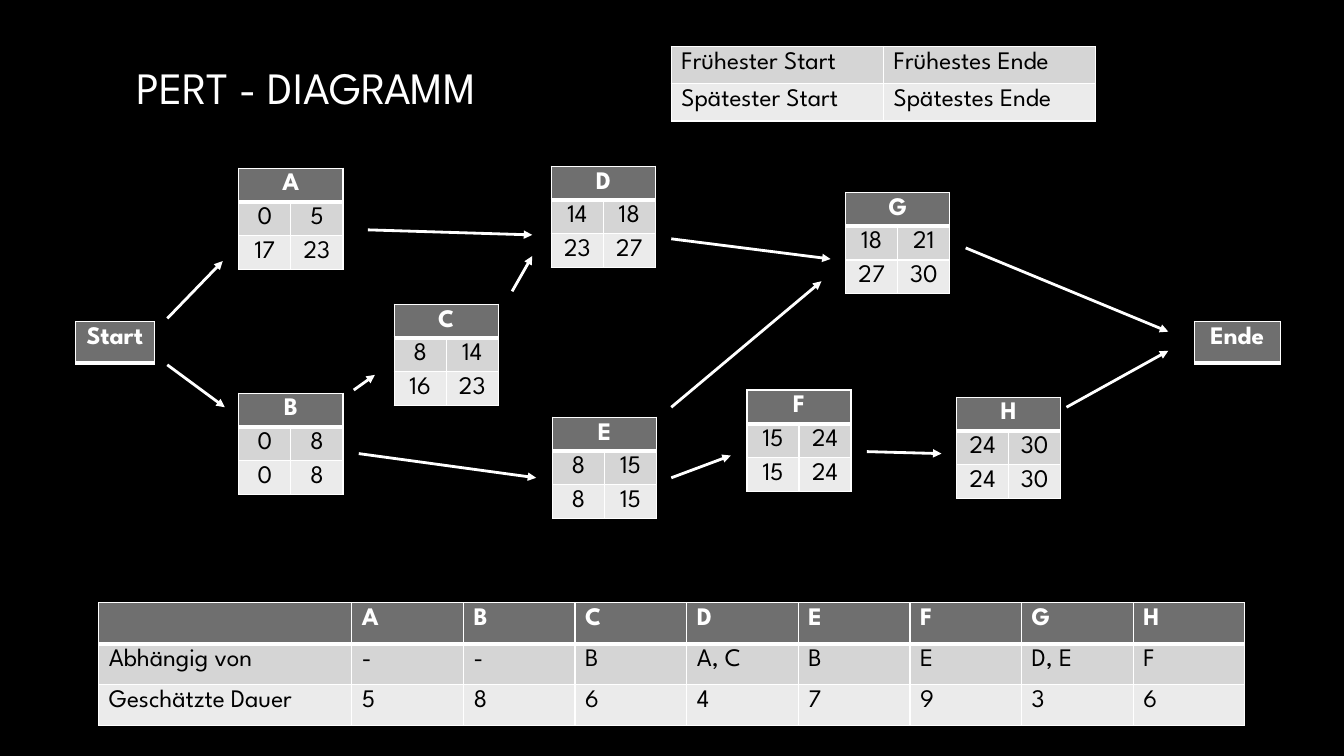
import pptx
import pptx.dml.color
import pptx.enum.text
import pptx.oxml
import pptx.oxml.ns
import pptx.util
from lxml import etree

Pt = pptx.util.Pt
ALIGN = pptx.enum.text.PP_ALIGN

FONT = "League Spartan"
WHITE, BLACK = "FFFFFF", "000000"
HEADER_FILL, DARK_BAND, LIGHT_BAND = "6F6F6F", "D5D5D5", "EBEBEB"

TITLE = "PERT - DIAGRAMM"
LEGEND = [("Frühester Start", "Frühestes Ende"),
          ("Spätester Start", "Spätestes Ende")]
TASKS = [("", "A", "B", "C", "D", "E", "F", "G", "H"),
         ("Abhängig von", "-", "-", "B", "A, C", "B", "E", "D, E", "F"),
         ("Geschätzte Dauer", "5", "8", "6", "4", "7", "9", "3", "6")]

# name: (left, top, earliest times, latest times)
NODES = {
    "A": (170.6, 120.2, ("0", "5"), ("17", "23")),
    "B": (170.6, 280.8, ("0", "8"), ("0", "8")),
    "C": (281.5, 217.4, ("8", "14"), ("16", "23")),
    "D": (393.8, 118.8, ("14", "18"), ("23", "27")),
    "E": (394.6, 298.1, ("8", "15"), ("8", "15")),
    "F": (533.5, 278.6, ("15", "24"), ("15", "24")),
    "G": (604.1, 137.5, ("18", "21"), ("27", "30")),
    "H": (683.3, 283.7, ("24", "30"), ("24", "30")),
}
# name: (left, width)
TERMINALS = {"Start": (54, 56.2), "Ende": (853.2, 61.2)}

# start x, start y, end x, end y
ARROWS = [
    (119.5, 260.6, 160.6, 290.9),  # Start - B
    (119.5, 227.5, 159.1, 186.5),  # Start - A
    (262.8, 164.2, 380.2, 167.8),  # A - D
    (252.7, 278.6, 267.8, 267.8),  # B - C
    (365.8, 208.1, 380.2, 182.9),  # C - D
    (256.3, 324, 383, 341.3),      # B - E
    (479.5, 341.3, 522, 325.4),    # E - F
    (479.5, 170.6, 593.3, 185),    # D - G
    (479.5, 290.9, 586.8, 200.9),  # E - G
    (619.2, 322.6, 672.5, 324),    # F - H
    (761.8, 290.9, 834.5, 250.6),  # H - Ende
    (689.8, 177.1, 834.5, 236.9),  # G - Ende
]


def color(value):
    return pptx.dml.color.RGBColor.from_string(value)


def write(frame, text, size=18, ink=BLACK, bold=False, align=ALIGN.LEFT):
    para = frame.paragraphs[0]
    para.alignment = align
    span = para.add_run()
    span.text = text
    span.font.name = FONT
    span.font.size = Pt(size)
    span.font.bold = bold
    span.font.color.rgb = color(ink)
    return span


def add_borders(cell, top, bottom):
    """Draw white cell borders; top and bottom are widths in points."""
    properties = cell._tc.get_or_add_tcPr()
    for side, width in (("L", 1), ("R", 1), ("T", top), ("B", bottom)):
        properties.append(pptx.oxml.parse_xml(
            f'<a:ln{side} {pptx.oxml.ns.nsdecls("a")} w="{Pt(width)}">'
            f'<a:solidFill><a:srgbClr val="{WHITE}"/></a:solidFill></a:ln{side}>'))


def add_grid(page, rows, left, top, widths, row_height, header=True,
             align=ALIGN.LEFT):
    """Add a table; a header row of one text spans all columns."""
    table = page.shapes.add_table(
        len(rows), len(widths), Pt(left), Pt(top),
        Pt(sum(widths)), Pt(row_height * len(rows))).table
    table.first_row = header
    for column, width in zip(table.columns, widths):
        column.width = Pt(width)
    fills = [HEADER_FILL] * header + [DARK_BAND, LIGHT_BAND]
    for r, texts in enumerate(rows):
        table.rows[r].height = Pt(row_height)
        is_header = header and r == 0
        for c in range(len(widths)):
            cell = table.cell(r, c)
            add_borders(cell, top=3 if header and r == 1 else 1,
                        bottom=3 if is_header else 1)
            cell.fill.solid()
            cell.fill.fore_color.rgb = color(fills[r])
            if c < len(texts) and texts[c]:
                write(cell.text_frame, texts[c], bold=is_header, align=align,
                      ink=WHITE if is_header else BLACK)
        if len(texts) < len(widths):
            table.cell(r, 0).merge(table.cell(r, len(widths) - 1))


def add_arrow(page, x1, y1, x2, y2):
    arrow = page.shapes.add_connector(
        pptx.enum.shapes.MSO_CONNECTOR.STRAIGHT, Pt(x1), Pt(y1), Pt(x2), Pt(y2))
    arrow.line.color.rgb = color(WHITE)
    arrow.line.width = Pt(2)
    qn = pptx.oxml.ns.qn
    etree.SubElement(arrow.line._get_or_add_ln(), qn("a:tailEnd"), type="triangle")
    etree.SubElement(arrow._element.spPr, qn("a:effectLst"))


def add_title(page):
    title = page.shapes.title
    title.left, title.top, title.width, title.height = map(
        Pt, (90, 26.6, 779.8, 70.6))
    title.text_frame.vertical_anchor = pptx.enum.text.MSO_ANCHOR.MIDDLE
    fill = write(title.text_frame, TITLE, size=32).font.fill
    fill.gradient()
    fill.gradient_angle = 267
    for stop, value in zip(fill.gradient_stops, (WHITE, "A6A6A6")):
        stop.color.rgb = color(value)


def main():
    deck = pptx.Presentation()
    deck.slide_width, deck.slide_height = Pt(960), Pt(540)
    page = deck.slides.add_slide(deck.slide_layouts.get_by_name("Title Only"))
    page.background.fill.solid()
    page.background.fill.fore_color.rgb = color(BLACK)

    add_title(page)
    add_grid(page, LEGEND, 479.5, 33.1, [151.6] * 2, 26.7, header=False)
    add_grid(page, TASKS, 70.6, 430.6, [180.7] + [79.75] * 8, 29.3)
    for name, (left, top, earliest, latest) in NODES.items():
        add_grid(page, [(name,), earliest, latest], left, top, [37.2] * 2, 24.1,
                 align=ALIGN.CENTER)
    for name, (left, width) in TERMINALS.items():
        add_grid(page, [(name,)], left, 229.7, [width], 29.5, align=ALIGN.CENTER)
    for ends in ARROWS:
        add_arrow(page, *ends)

    deck.save("out.pptx")


if __name__ == "__main__":
    main()
